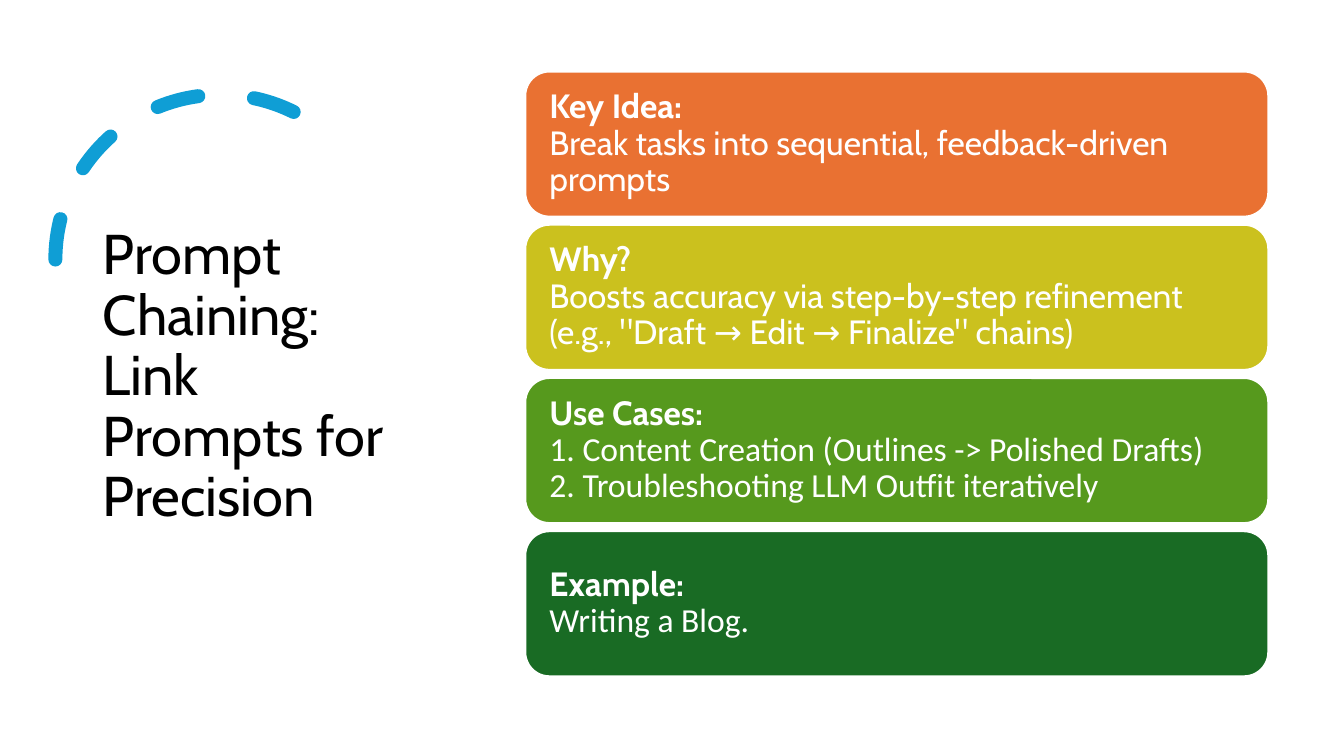
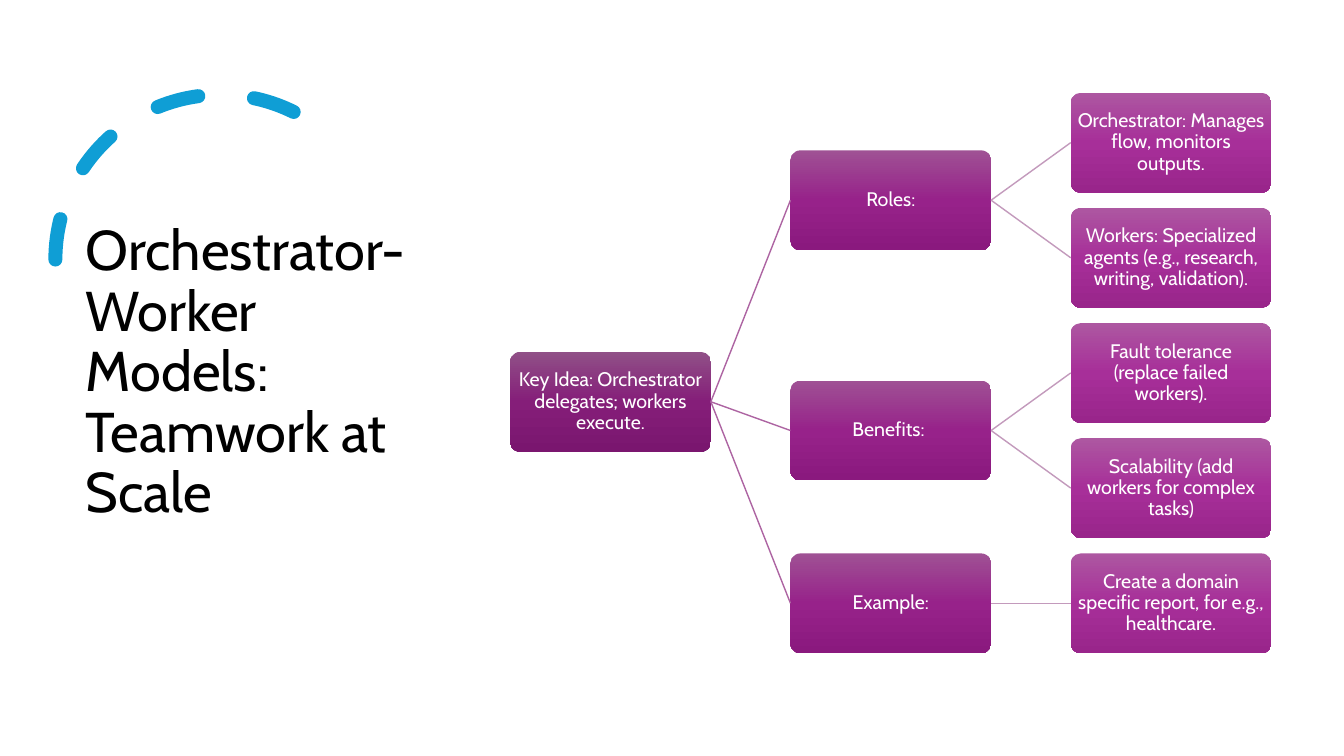
from copy import deepcopy

from pptx import Presentation
from pptx.dml.color import RGBColor
from pptx.enum.dml import MSO_LINE
from pptx.enum.shapes import MSO_CONNECTOR, MSO_SHAPE
from pptx.enum.text import MSO_ANCHOR, PP_ALIGN
from pptx.oxml.ns import qn
from pptx.oxml.xmlchemy import OxmlElement
from pptx.util import Inches, Pt

# Shared style
HEAD_FONT, BODY_FONT = "Cabin", "Calibri"
WHITE = RGBColor(0xFF, 0xFF, 0xFF)
BLACK = RGBColor(0x00, 0x00, 0x00)
ARC_BLUE = RGBColor(0x0F, 0x9E, 0xD5)
ORANGE = RGBColor(0xE9, 0x71, 0x32)
YELLOW = RGBColor(0xCB, 0xC1, 0x1E)
GREEN = RGBColor(0x56, 0x99, 0x1D)
DARK_GREEN = RGBColor(0x19, 0x6B, 0x24)

# One gradient per tree level, one link colour per gap between levels
LEVEL_GRADIENTS = [
    (RGBColor(0x90, 0x50, 0x87), RGBColor(0x85, 0x1E, 0x79), RGBColor(0x7A, 0x16, 0x6F)),
    (RGBColor(0x9F, 0x51, 0x94), RGBColor(0x97, 0x22, 0x8A), RGBColor(0x8A, 0x19, 0x7E)),
    (RGBColor(0xAD, 0x57, 0xA1), RGBColor(0xA7, 0x2F, 0x99), RGBColor(0x99, 0x25, 0x8B)),
]
LINK_COLORS = [RGBColor(0xAD, 0x64, 0xA2), RGBColor(0xC3, 0x9A, 0xBC)]

# Slide content
CARDS = [
    (ORANGE, HEAD_FONT, "Key Idea: \nBreak tasks into sequential, feedback-driven prompts"),
    (YELLOW, HEAD_FONT, "Why? \nBoosts accuracy via step-by-step refinement "
                        "(e.g., \"Draft → Edit → Finalize\" chains)"),
    (GREEN, BODY_FONT, "Use Cases:\n1. Content Creation (Outlines -> Polished Drafts)\n"
                       "2. Troubleshooting LLM Outfit iteratively"),
    (DARK_GREEN, BODY_FONT, "Example: \nWriting a Blog."),
]
TREE = ("Key Idea: Orchestrator delegates; workers execute.", [
    ("Roles:", [
        ("Orchestrator: Manages flow, monitors outputs.", []),
        ("Workers: Specialized agents (e.g., research, writing, validation).", []),
    ]),
    ("Benefits: ", [
        ("Fault tolerance (replace failed workers).", []),
        ("Scalability (add workers for complex tasks)", []),
    ]),
    ("Example:", [
        ("Create a domain specific report, for e.g., healthcare.", []),
    ]),
])


def write(s, text, size, color, inset_x=0.1, inset_y=0.05, align=PP_ALIGN.LEFT):
    """Fill a shape with one middle-anchored paragraph and return its runs."""
    tf = s.text_frame
    tf.word_wrap = True
    tf.vertical_anchor = MSO_ANCHOR.MIDDLE
    tf.margin_left = tf.margin_right = Inches(inset_x)
    tf.margin_top = tf.margin_bottom = Inches(inset_y)
    p = tf.paragraphs[0]
    p.text = text
    p.alignment = align
    p.line_spacing = 0.9
    for r in p.runs:
        r.font.name, r.font.size, r.font.color.rgb = HEAD_FONT, Pt(size), color
    return p.runs


def add_box(sp, shape_type, box):
    s = sp.add_shape(shape_type, *map(Inches, box))
    s.shadow.inherit = False
    return s


def add_title(sp, text, box):
    write(sp.add_textbox(*map(Inches, box)), text, 40, BLACK)


def add_dashed_arc(sp, box):
    s = add_box(sp, MSO_SHAPE.ARC, box)
    s.adjustments[0], s.adjustments[1] = 146.129, 0
    s.fill.background()
    s.line.color.rgb = ARC_BLUE
    s.line.width = Pt(10)
    s.line.dash_style = MSO_LINE.DASH
    sp_pr = s._element.spPr
    sp_pr.find(qn("a:xfrm")).set("flipH", "1")
    sp_pr.find(qn("a:ln")).set("cap", "rnd")


def add_cards(sp, cards, box, gap=0.08):
    """Stack equal cards, each with a bold heading line."""
    left, top, width, height = box
    card_h = (height - gap * (len(cards) - 1)) / len(cards)
    for i, (color, font, text) in enumerate(cards):
        s = add_box(sp, MSO_SHAPE.ROUNDED_RECTANGLE,
                    (left, top + i * (card_h + gap), width, card_h))
        s.fill.solid()
        s.fill.fore_color.rgb = color
        s.line.color.rgb = WHITE
        s.line.width = Pt(1.5)
        heading, *body = write(s, text, 24, WHITE, 0.17, 0.1)
        heading.font.bold = True
        for r in body:
            r.font.name = font


def fill_gradient(s, colors):
    """Vertical gradient with evenly spaced stops."""
    s.fill.gradient()
    s.fill.gradient_angle = 270
    stop_list = s._element.spPr.find(".//" + qn("a:gsLst"))
    stop_list.append(deepcopy(stop_list[0]))
    for i, (stop, color) in enumerate(zip(s.fill.gradient_stops, colors)):
        stop.position = i / (len(colors) - 1)
        stop.color.rgb = color


def add_link(sp, parent, child, color):
    """Join the right side of the parent to the left side of the child."""
    line = sp.add_connector(MSO_CONNECTOR.STRAIGHT, 0, 0, 0, 0)
    line.begin_connect(parent, 3)
    line.end_connect(child, 1)
    line.line.color.rgb = color
    line.line.width = Pt(1)
    line._element.spPr.append(OxmlElement("a:effectLst"))


def count_leaves(node):
    return sum(map(count_leaves, node[1])) or 1


def add_tree(sp, tree, box, node_w=1.99, node_h=0.99):
    """Draw a left-to-right tree; a parent is centred on its children."""
    left, top, width, height = box
    step_x = (width - node_w) / (len(LEVEL_GRADIENTS) - 1)
    step_y = (height - node_h) / (count_leaves(tree) - 1)

    def add_node(node, level, first_row):
        text, children = node
        placed, row = [], first_row
        for child in children:
            placed.append(add_node(child, level + 1, row))
            row += count_leaves(child)
        rows = [child_row for _, child_row in placed] or [first_row]
        middle = (rows[0] + rows[-1]) / 2
        s = add_box(sp, MSO_SHAPE.ROUNDED_RECTANGLE,
                    (left + level * step_x, top + middle * step_y, node_w, node_h))
        s.adjustments[0] = 0.1
        fill_gradient(s, LEVEL_GRADIENTS[level])
        s.line.fill.background()
        write(s, text, 14, WHITE, 0.04, 0.04, PP_ALIGN.CENTER)
        for child_shape, _ in placed:
            add_link(sp, s, child_shape, LINK_COLORS[level])
        return s, middle

    add_node(tree, 0, 0)


def add_slide(prs, title, title_box):
    """Blank slide with the shared arc and title."""
    sp = prs.slides.add_slide(prs.slide_layouts[6]).shapes
    add_dashed_arc(sp, (0.55, 0.94, 3.27, 3.27))
    add_title(sp, title, title_box)
    return sp


def main():
    prs = Presentation()
    prs.slide_width, prs.slide_height = Inches(13.33), Inches(7.5)

    # Prompt chaining
    sp = add_slide(prs, "Prompt Chaining: Link Prompts for Precision",
                   (0.92, 0.7, 3.23, 6.09))
    add_cards(sp, CARDS, (5.21, 0.71, 7.37, 6))

    # Orchestrator and workers
    sp = add_slide(prs, "Orchestrator-Worker Models: Teamwork at Scale",
                   (0.75, 0.65, 3.5, 6.11))
    add_tree(sp, TREE, (5.06, 0.92, 7.55, 5.56))

    prs.save("out.pptx")


if __name__ == "__main__":
    main()
